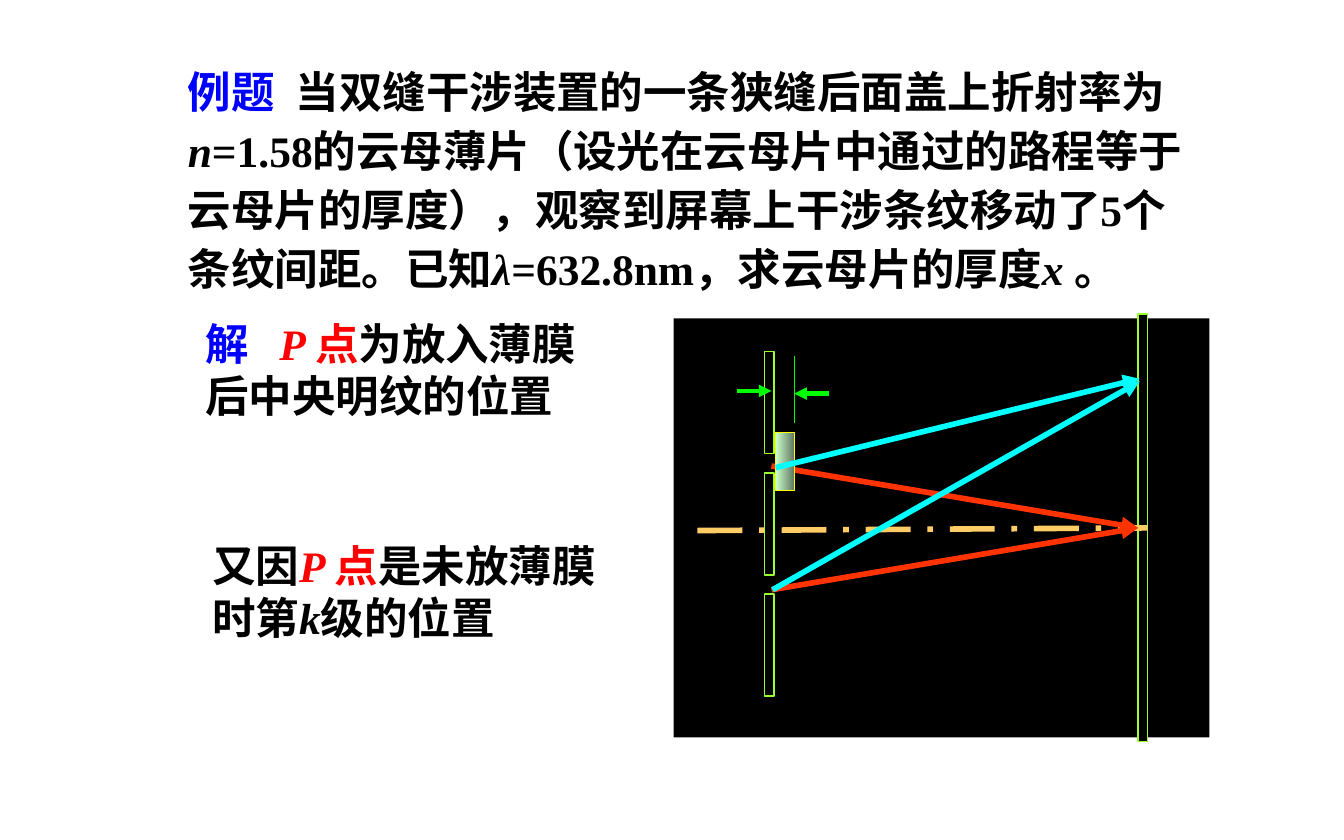
import pptx
import pptx.dml.color
import pptx.enum.dml
import pptx.enum.shapes
import pptx.enum.text
import pptx.oxml.ns
import pptx.util
from lxml import etree

Cm, Pt = pptx.util.Cm, pptx.util.Pt

COLORS = {
    "black": "000000",
    "blue": "0000FF",
    "red": "FF0000",
    "lime": "99FF33",
    "orange": "FFCC66",
    "vermilion": "FF3300",
    "cyan": "00FFFF",
    "yellow": "FFFF00",
    "green": "00FF00",
    "mica light": "CCFFCC",
    "mica dark": "5E765E",
}


class SlideBuilder:
    """Hold the text style and the current slide, and add elements to it."""

    text_format = {"name": "Times New Roman", "size": Pt(23.3), "bold": True}
    frame_format = {
        "word_wrap": True,
        "auto_size": pptx.enum.text.MSO_AUTO_SIZE.SHAPE_TO_FIT_TEXT,
    }

    def __init__(self, slide):
        self.slide = slide

    def color(self, name):
        return pptx.dml.color.RGBColor.from_string(COLORS[name])

    def element(self, parent, tag, **attributes):
        return etree.SubElement(parent, pptx.oxml.ns.qn(tag), attributes)

    def outline(self, line, color, width):
        line.color.rgb = self.color(color)
        line.width = Pt(width)

    def text(self, left, top, width, height, runs, line_spacing=None, tab=None):
        box = self.slide.shapes.add_textbox(Cm(left), Cm(top), Cm(width), Cm(height))
        for key, value in self.frame_format.items():
            setattr(box.text_frame, key, value)
        paragraph = box.text_frame.paragraphs[0]
        if tab:
            tabs = self.element(paragraph._p.get_or_add_pPr(), "a:tabLst")
            self.element(tabs, "a:tab", pos=str(Cm(tab)), algn="l")
        if line_spacing:
            paragraph.line_spacing = Pt(line_spacing)
        for words, color, italic in runs:
            run = paragraph.add_run()
            run.text = words
            for key, value in {**self.text_format, "italic": italic}.items():
                setattr(run.font, key, value)
            run.font.color.rgb = self.color(color)

    def rectangle(self, left, top, width, height, line=None, gradient=None):
        shape = self.slide.shapes.add_shape(
            pptx.enum.shapes.MSO_SHAPE.RECTANGLE, Cm(left), Cm(top), Cm(width), Cm(height)
        )
        shape.shadow.inherit = False
        if gradient:
            shape.fill.gradient()
            shape.fill.gradient_angle = 0
            for stop, name in zip(shape.fill.gradient_stops, gradient):
                stop.color.rgb = self.color(name)
        else:
            shape.fill.solid()
            shape.fill.fore_color.rgb = self.color("black")
        if line:
            self.outline(shape.line, line, 0.75)
        else:
            shape.line.fill.background()
        return shape

    def line(self, start, end, color, width, arrow=False, dash=None, join=None):
        connector = self.slide.shapes.add_connector(
            pptx.enum.shapes.MSO_CONNECTOR.STRAIGHT, *map(Cm, start + end)
        )
        self.outline(connector.line, color, width)
        if dash:
            connector.line.dash_style = dash
        if arrow:
            self.element(connector.line._get_or_add_ln(), "a:tailEnd", type="triangle")
        self.element(connector._element.spPr, "a:effectLst")
        if join:
            connector.end_connect(*join)


def draw_interference(builder):
    """Draw the double slit, the mica sheet, the rays and the screen."""
    builder.rectangle(12.73, 6.02, 10.13, 7.92)
    screen = builder.rectangle(21.51, 5.94, 0.18, 8.08, "lime")
    builder.line(
        (13.18, 10.03), (21.69, 9.98), "orange", 3,
        dash=pptx.enum.dml.MSO_LINE.LONG_DASH_DOT, join=(screen, 3),
    )
    for index in range(3):
        builder.rectangle(14.45, 6.65 + 2.29 * index, 0.18, 1.93, "lime")
    for slit_y in (8.81, 11.15):
        builder.line(
            (14.58, slit_y), (21.51, 9.98), "vermilion", 3, arrow=True, join=(screen, 1)
        )
    builder.line((14.6, 11.15), (21.54, 7.21), "cyan", 3, arrow=True)
    builder.rectangle(14.66, 8.18, 0.36, 1.09, "yellow", ("mica light", "mica dark"))
    builder.line((13.92, 7.39), (14.58, 7.39), "green", 2.25, arrow=True)
    builder.line((15.67, 7.44), (15.01, 7.44), "green", 2.25, arrow=True)
    builder.line((15.01, 8), (15.01, 6.73), "green", 0.75)
    builder.line((14.66, 8.84), (21.54, 7.16), "cyan", 3, arrow=True)


def main():
    presentation = pptx.Presentation()
    presentation.slide_width = Cm(25.4)
    presentation.slide_height = Cm(15.88)
    builder = SlideBuilder(presentation.slides.add_slide(presentation.slide_layouts[6]))

    builder.text(3.3, 0.97, 19.74, 4.72, [
        ("例题\t", "blue", False),
        ("当双缝干涉装置的一条狭缝后面盖上折射率为", "black", False),
        ("n", "black", True),
        ("=1.58的云母薄片（设光在云母片中通过的路程等于云母片的厚度），"
         "观察到屏幕上干涉条纹移动了5个条纹间距。已知", "black", False),
        ("λ", "black", True),
        ("=632.8nm，求云母片的厚度", "black", False),
        ("x ", "black", True),
        ("。", "black", False),
    ], line_spacing=31.7, tab=2.04)
    draw_interference(builder)
    point = [("P ", "red", True), ("点", "red", False)]
    builder.text(3.63, 5.87, 8.15, 2.26, [
        ("解\t", "blue", False),
        *point,
        ("为放入薄膜后中央明纹的位置", "black", False),
    ], tab=1.4)
    builder.text(3.76, 10.06, 8.43, 2.26, [
        ("又因", "black", False),
        *point,
        ("是未放薄膜时第", "black", False),
        ("k", "black", True),
        ("级的位置", "black", False),
    ])
    presentation.save("out.pptx")


if __name__ == "__main__":
    main()
